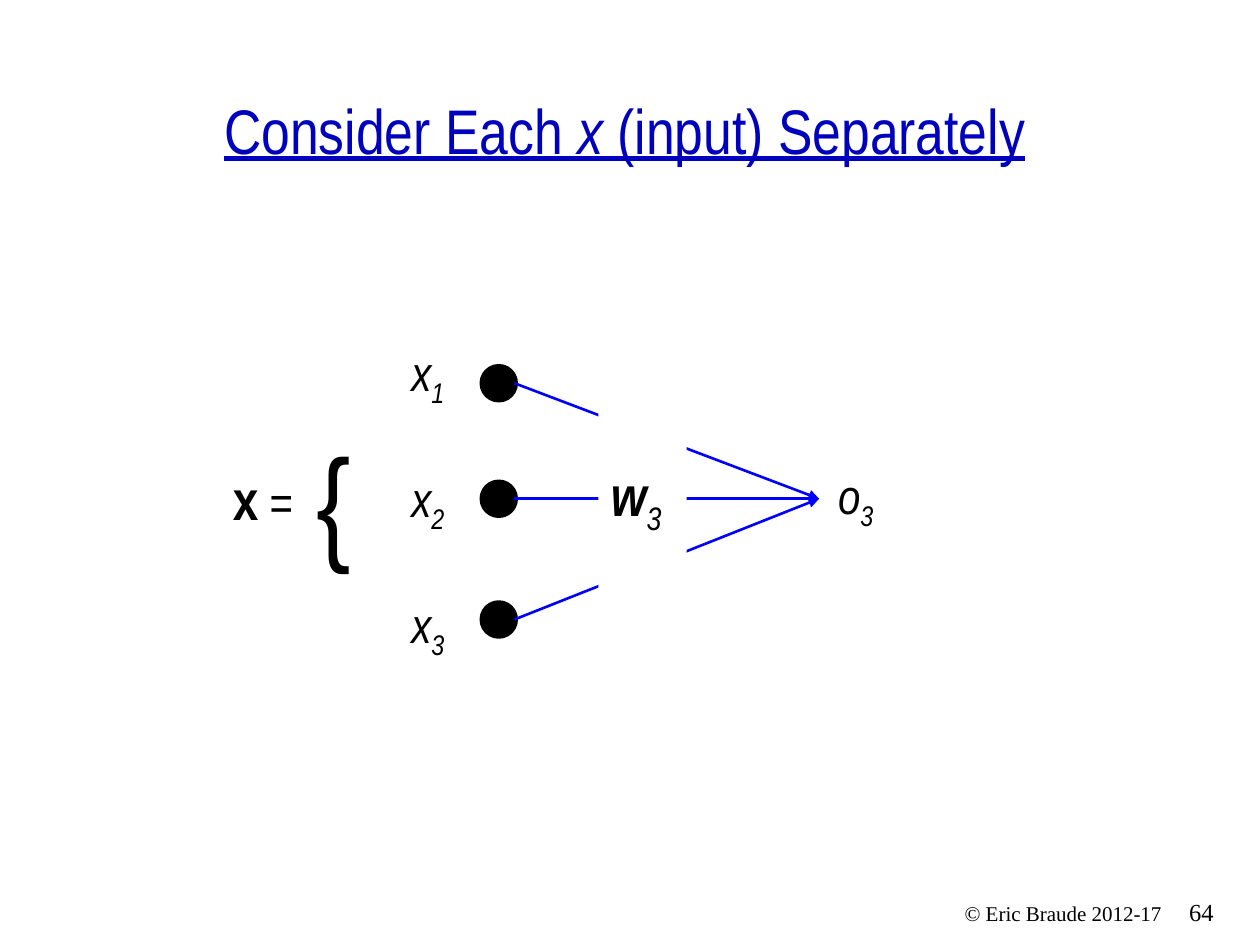
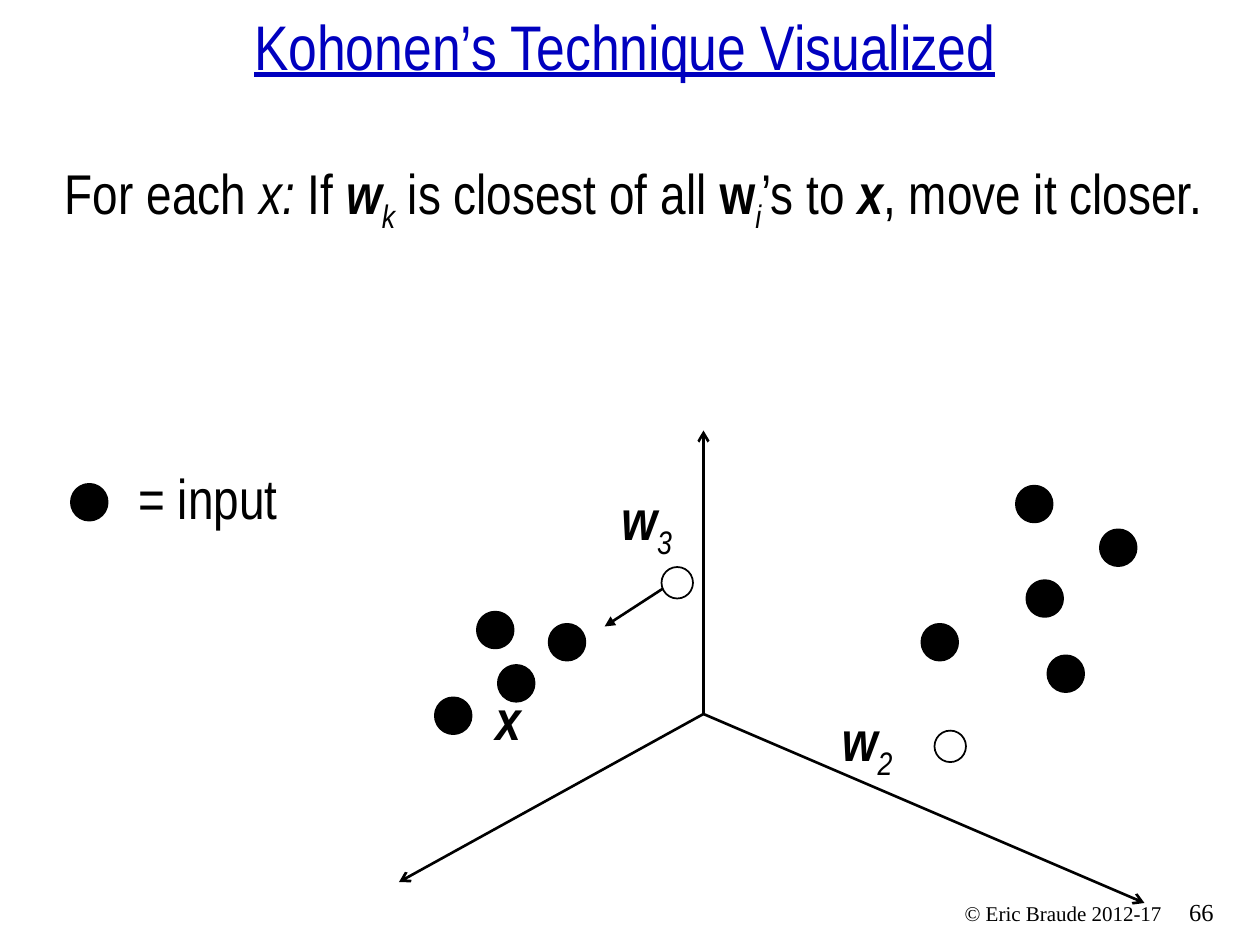
"""Build two slides on Kohonen's technique: weights per input, and moving the closest weight."""
from dataclasses import dataclass
from typing import NamedTuple

from pptx import Presentation
from pptx.dml.color import RGBColor
from pptx.enum.shapes import MSO_CONNECTOR as Connector, MSO_SHAPE as Preset
from pptx.enum.text import MSO_ANCHOR as Anchor, MSO_AUTO_SIZE as AutoSize, PP_ALIGN as Align
from pptx.oxml.ns import qn
from pptx.util import Pt
from lxml.etree import SubElement

COLORS = {"title": "0000BF", "text": "000000", "link": "0000FF", "paper": "FFFFFF"}
BODY_FONT = "Arial Narrow"
FOOTER_FONT = "Times New Roman"
DOT = 18
LABEL_HEIGHT = 46


class Piece(NamedTuple):
    text: str
    bold: bool = False
    italic: bool = False
    subscript: bool = False
    size: float | None = None


class Point(NamedTuple):
    x: float
    y: float


@dataclass
class Label:
    left: float
    top: float
    width: float
    pieces: list[Piece]
    height: float = LABEL_HEIGHT
    size: float = 32
    font: str = BODY_FONT
    align: Align = Align.LEFT
    anchor: Anchor = Anchor.TOP
    wrap: bool = True


@dataclass
class Arrow:
    start: Point
    end: Point
    color: str = "text"
    head: str = "triangle"


def rgb(name: str) -> RGBColor:
    return RGBColor.from_string(COLORS[name])


def indexed(letter: str, index: str, bold: bool = False) -> list[Piece]:
    return [Piece(letter, bold, True), Piece(index, italic=True, subscript=True)]


def write(paragraph, pieces: list[Piece], font: str, size: float, color: str = "text",
          underline: bool = False) -> None:
    for piece in pieces:
        run = paragraph.add_run()
        run.text = piece.text
        run.font.name = font
        run.font.size = Pt(piece.size or size)
        run.font.bold = piece.bold
        run.font.italic = piece.italic
        run.font.underline = underline
        run.font.color.rgb = rgb(color)
        if piece.subscript:
            run.font._element.set("baseline", "-25000")


def fill_label(shape, label: Label):
    frame = shape.text_frame
    frame.word_wrap = label.wrap
    frame.vertical_anchor = label.anchor
    paragraph = frame.paragraphs[0]
    paragraph.alignment = label.align
    write(paragraph, label.pieces, label.font, label.size)
    return shape


def bounds(label: Label) -> tuple[Pt, Pt, Pt, Pt]:
    return Pt(label.left), Pt(label.top), Pt(label.width), Pt(label.height)


def add_label(slide, label: Label):
    return fill_label(slide.shapes.add_textbox(*bounds(label)), label)


def add_plate(slide, label: Label) -> None:
    shape = slide.shapes.add_shape(Preset.RECTANGLE, *bounds(label))
    shape.shadow.inherit = False
    shape.fill.solid()
    shape.fill.fore_color.rgb = rgb("paper")
    shape.line.fill.background()
    fill_label(shape, label)


def add_dot(slide, corner: Point, fill: str = "text", line_width: float = 4) -> None:
    shape = slide.shapes.add_shape(Preset.OVAL, Pt(corner.x), Pt(corner.y), Pt(DOT), Pt(DOT))
    shape.shadow.inherit = False
    shape.fill.solid()
    shape.fill.fore_color.rgb = rgb(fill)
    shape.line.color.rgb = rgb("text")
    shape.line.width = Pt(line_width)


def add_arrow(slide, arrow: Arrow):
    connector = slide.shapes.add_connector(
        Connector.STRAIGHT, *(Pt(value) for value in (*arrow.start, *arrow.end)))
    connector.line.color.rgb = rgb(arrow.color)
    connector.line.width = Pt(1.5)
    SubElement(connector.line._get_or_add_ln(), qn("a:tailEnd"), type=arrow.head)
    SubElement(connector._element.spPr, qn("a:effectLst"))
    return connector


def add_slide(presentation, title_top: float, title: list[Piece], number: str):
    slide = presentation.slides.add_slide(presentation.slide_layouts[5])
    shape = slide.shapes.title
    shape.left, shape.top, shape.width, shape.height = Pt(0), Pt(title_top), Pt(714), Pt(39)
    frame = shape.text_frame
    frame.auto_size = AutoSize.NONE
    frame.vertical_anchor = Anchor.BOTTOM
    frame.paragraphs[0].alignment = Align.CENTER
    write(frame.paragraphs[0], title, BODY_FONT, 36, "title", underline=True)
    add_label(slide, Label(672.5, 509, 42, [Piece(number)], 24, 14, FOOTER_FONT))
    add_label(slide, Label(479, 511, 192, [Piece("© Eric Braude 2012-17")], 22, 12,
                           FOOTER_FONT, Align.RIGHT))
    return slide


def build_inputs_slide(presentation) -> None:
    slide = add_slide(presentation, 60, [
        Piece("Consider Each "), Piece("x", italic=True), Piece(" (input) Separately")], "64")
    dot_left, dot_tops = 276, (210, 276, 345)
    output = Label(468, 258, 42, indexed("o", "3"), 54, 28,
                   align=Align.CENTER, anchor=Anchor.MIDDLE, wrap=False)
    output_box = add_label(slide, output)
    for row, dot_top in enumerate(dot_tops):
        add_label(slide, Label(228, 192 + 72 * row, 48, indexed("x", str(row + 1)), 41, 28))
        add_dot(slide, Point(dot_left, dot_top))
    add_label(slide, Label(126, 262, 102, [Piece("x", bold=True), Piece(" =", size=28)]))
    output_side = Point(output.left, output.top + output.height / 2)
    for dot_top in dot_tops:
        dot_side = Point(dot_left + DOT, dot_top + DOT / 2)
        connector = add_arrow(slide, Arrow(dot_side, output_side, "link"))
        connector.end_connect(output_box, 1)
    add_plate(slide, Label(342, 216, 50.4, indexed("w", "3", True), 138,
                           anchor=Anchor.MIDDLE, wrap=False))
    add_label(slide, Label(174, 238, 42, [Piece("{")], 94, 72))


def build_technique_slide(presentation) -> None:
    slide = add_slide(presentation, 12, [Piece("Kohonen’s Technique Visualized")], "66")
    origin = Point(402, 408)
    for axis_end in (Point(402, 246), Point(228, 504), Point(654, 516)):
        add_arrow(slide, Arrow(origin, axis_end, head="arrow"))

    left_cluster = [Point(274, 351), Point(286, 381.5), Point(315, 358), Point(250, 400)]
    right_cluster = [Point(582, 279), Point(588, 333), Point(630, 304),
                     Point(528, 358), Point(600, 376)]
    legend_dot = Point(42, 278)
    for corner in (*left_cluster, *right_cluster, legend_dot):
        add_dot(slide, corner)

    add_arrow(slide, Arrow(Point(384, 333), Point(345.5, 358)))
    for weight in (Point(378, 324), Point(534, 417.5)):
        add_dot(slide, weight, "paper", 1)

    statement = [
        Piece("For each "), Piece("x: ", italic=True), Piece("If "), *indexed("w", "k", True),
        Piece(" is closest of all "), Piece("w", bold=True),
        Piece("i", italic=True, subscript=True), Piece("’s to "),
        Piece("x", bold=True, italic=True), Piece(", move it closer.")]
    for label in (
        Label(348, 273.5, 45, indexed("w", "3", True), wrap=False),
        Label(276, 387.5, 30, [Piece("x", bold=True, italic=True)], wrap=False),
        Label(30, 87, 672, statement),
        Label(474, 399.5, 45, indexed("w", "2", True), wrap=False),
        Label(72, 261.5, 144, [Piece("= input")]),
    ):
        add_label(slide, label)


def main() -> None:
    presentation = Presentation()
    presentation.slide_width, presentation.slide_height = Pt(720), Pt(540)
    build_inputs_slide(presentation)
    build_technique_slide(presentation)
    presentation.save("out.pptx")


if __name__ == "__main__":
    main()
